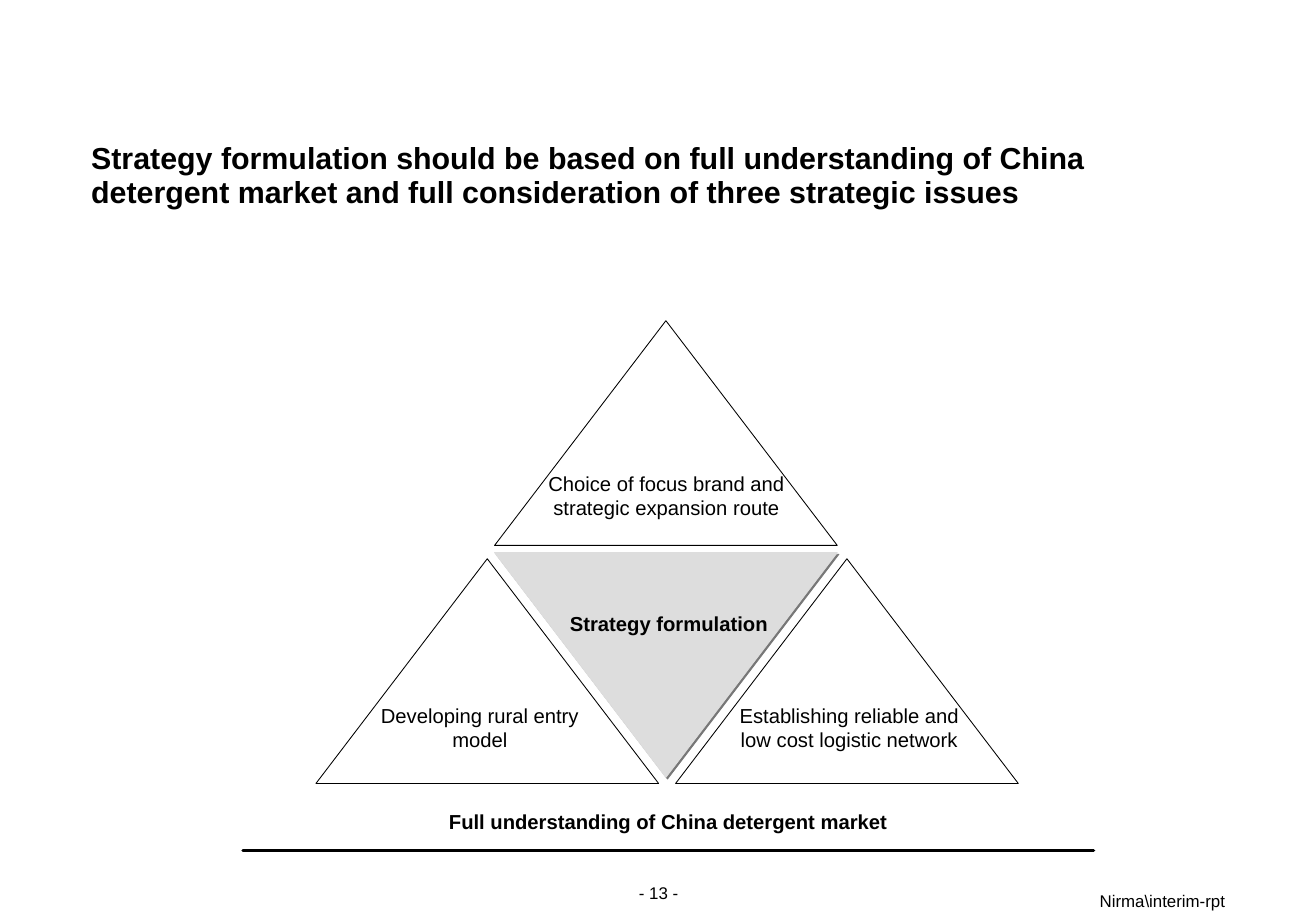
from lxml import etree
from pptx import Presentation
from pptx.dml.color import RGBColor
from pptx.enum import shapes, text
from pptx.oxml import parse_xml
from pptx.oxml.ns import nsdecls
from pptx.util import Inches, Pt

BLACK = RGBColor(0x00, 0x00, 0x00)
GREY = RGBColor(0xDD, 0xDD, 0xDD)
FONT = "Arial"
TRI_W, TRI_H = 2.82, 1.85


def set_text(sp, words, size, bold, align, anchor, wrap=True):
    tf = sp.text_frame
    tf.word_wrap = wrap
    tf.auto_size = text.MSO_AUTO_SIZE.NONE
    tf.margin_left = tf.margin_top = tf.margin_right = tf.margin_bottom = 0
    tf.vertical_anchor = anchor
    p = tf.paragraphs[0]
    p.text = words
    p.alignment = align
    p.font.name, p.font.size, p.font.bold = FONT, Pt(size), bold
    p.font.color.rgb = BLACK
    return p


def style_outline(sp, color, width):
    sp.shadow.inherit = False
    sp.fill.background()
    sp.line.color.rgb = color
    sp.line.width = Pt(width)


prs = Presentation()
prs.slide_width, prs.slide_height = Inches(10.83), Inches(7.5)
s = prs.slides.add_slide(prs.slide_layouts[5])

title = s.shapes.title
title.left, title.top = Inches(0.75), Inches(1.17)
title.width, title.height = Inches(9.34), Inches(0.67)
p = set_text(title, "Strategy formulation should be based on full understanding of China "
             "detergent market and full consideration of three strategic issues",
             18, True, text.PP_ALIGN.LEFT, text.MSO_ANCHOR.TOP)
p.line_spacing = Pt(20)

# Three issues around the inverted strategy triangle
for x, y, inverted in [(5.56, 4.6, False), (2.6, 4.6, False),
                       (4.07, 4.55, True), (4.07, 2.64, False)]:
    sp = s.shapes.add_shape(shapes.MSO_SHAPE.ISOSCELES_TRIANGLE,
                            Inches(x), Inches(y), Inches(TRI_W), Inches(TRI_H))
    style_outline(sp, GREY if inverted else BLACK, 0.5)
    if inverted:
        sp.fill.solid()
        sp.fill.fore_color.rgb = GREY
        spPr = sp._element.spPr
        spPr.xfrm.set("flipV", "1")
        effects = spPr.find("{*}effectLst")
        effects.append(parse_xml(
            f'<a:outerShdw {nsdecls("a")} dist="{Pt(1.4)}" dir="2700000" '
            'algn="ctr" rotWithShape="0"><a:srgbClr val="777777"/></a:outerShdw>'))

# Market understanding as the base
fb = s.shapes.build_freeform(2.54, 6.53, scale=Inches(1))
fb.add_line_segments([(2.18, 6.99), (8.8, 6.99), (8.45, 6.53)], close=True)
style_outline(fb.convert_to_shape(), BLACK, 2)

CENTER, RIGHT = text.PP_ALIGN.CENTER, text.PP_ALIGN.RIGHT
TOP, MIDDLE, BOTTOM = text.MSO_ANCHOR.TOP, text.MSO_ANCHOR.MIDDLE, text.MSO_ANCHOR.BOTTOM
labels = [
    ("Strategy formulation", 4.69, 5.03, 1.63, 0.2, 12, True, CENTER, MIDDLE, False),
    ("Choice of focus brand and strategic expansion route",
     4.22, 3.88, 2.53, 0.4, 12, False, CENTER, MIDDLE, True),
    ("Establishing reliable and low cost logistic network",
     6.06, 5.79, 1.86, 0.4, 12, False, CENTER, MIDDLE, True),
    ("Developing rural entry model", 3.02, 5.79, 1.86, 0.4, 12, False, CENTER, MIDDLE, True),
    ("Full understanding of China detergent market",
     2.59, 6.66, 5.82, 0.2, 12, True, CENTER, MIDDLE, True),
    ("- 13 -", 4.85, 7.27, 1.14, 0.17, 10, False, CENTER, TOP, True),
    ("Nirma\\interim-rpt", 6.64, 7.33, 3.44, 0.17, 10, False, RIGHT, BOTTOM, True),
]
for words, x, y, w, h, size, bold, align, anchor, wrap in labels:
    box = s.shapes.add_textbox(Inches(x), Inches(y), Inches(w), Inches(h))
    set_text(box, words, size, bold, align, anchor, wrap)

prs.save("out.pptx")
